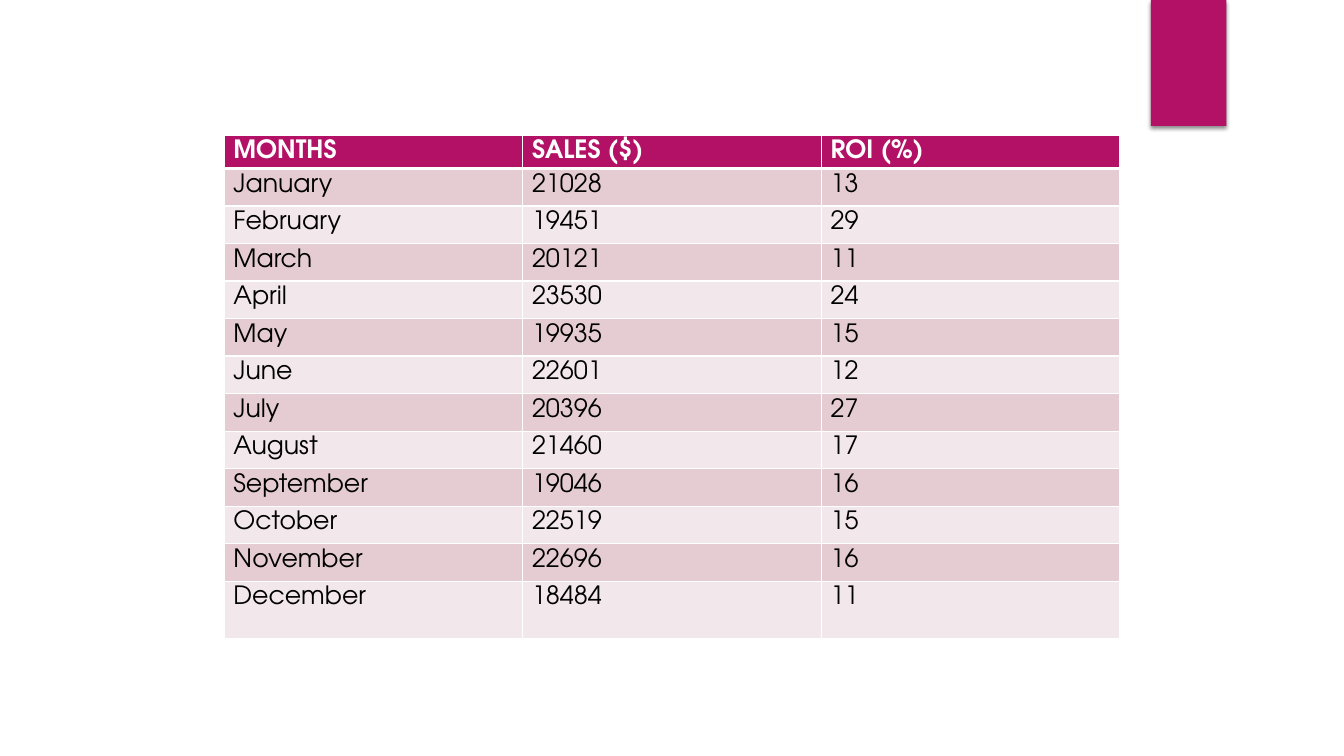
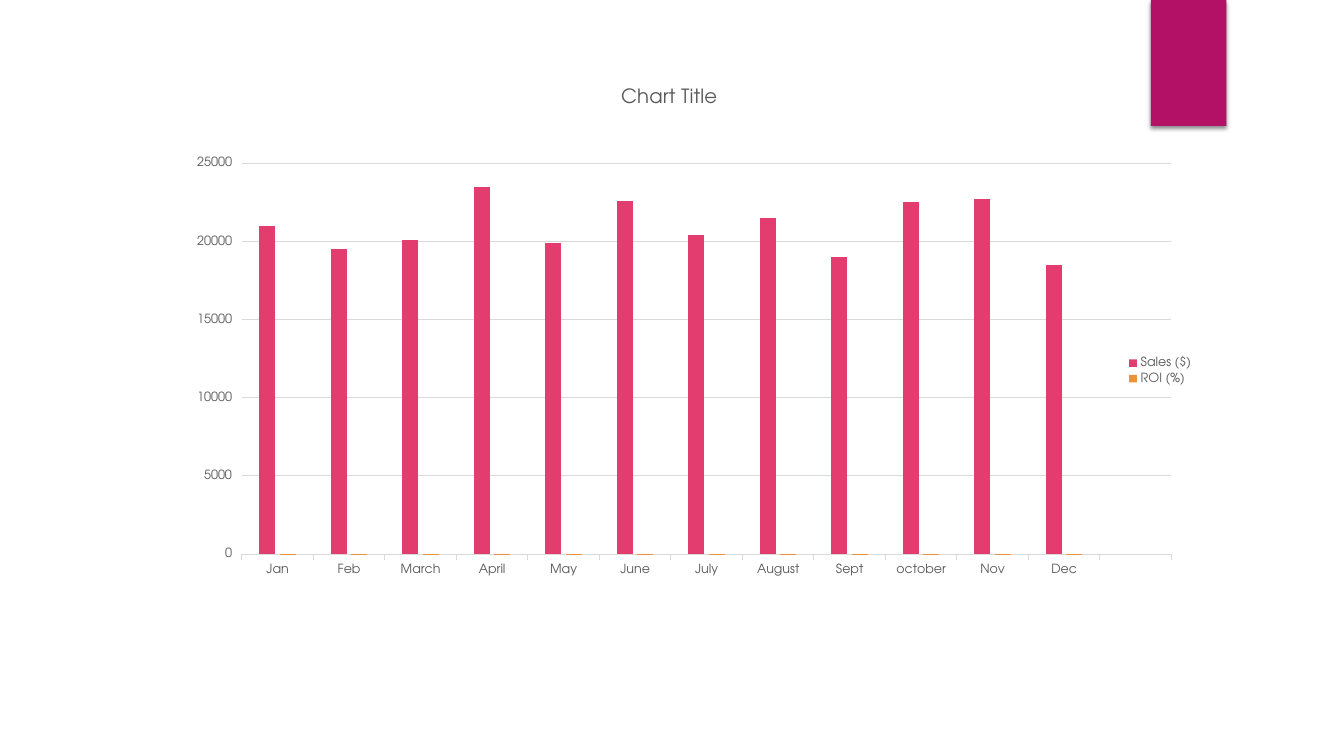
from lxml.etree import SubElement
from pptx import Presentation
from pptx.chart.data import CategoryChartData
from pptx.dml.color import RGBColor
from pptx.enum.chart import XL_CHART_TYPE, XL_LEGEND_POSITION
from pptx.enum.shapes import MSO_SHAPE
from pptx.oxml import parse_xml
from pptx.oxml.ns import nsdecls, qn
from pptx.util import Pt

COLORS = {
    "accent": "B31166",
    "white": "FFFFFF",
    "black": "000000",
    "band_dark": "E5CCD3",
    "band_light": "F2E7EA",
    "label": "595959",
    "grid": "D9D9D9",
    "sales": "E33D6F",
    "roi": "E9943A",
}
FONT = "TeX Gyre Adventor"

MONTHLY_ROWS = [
    ("MONTHS", "SALES ($)", "ROI (%)"),
    ("January", "21028", "13"),
    ("February", "19451", "29"),
    ("March", "20121", "11"),
    ("April", "23530", "24"),
    ("May", "19935", "15"),
    ("June", "22601", "12"),
    ("July", "20396", "27"),
    ("August", "21460", "17"),
    ("September", "19046", "16"),
    ("October", "22519", "15"),
    ("November", "22696", "16"),
    ("December", "18484", "11"),
]
# The chart keeps an empty thirteenth category
CHART_MONTHS = ["Jan", "Feb", "March", "April", "May", "June", "July",
                "August", "Sept", "october", "Nov", "Dec", ""]
CHART_SERIES = [
    ("Sales ($)", [21000, 19500, 20100, 23500, 19900, 22600, 20400,
                   21500, 19000, 22500, 22700, 18500, None], "sales"),
    ("ROI (%)", [int(row[2]) for row in MONTHLY_ROWS[1:]] + [None], "roi"),
]


def rgb(name):
    return RGBColor.from_string(COLORS[name])


class Deck:
    """Holds the shared style and the current slide."""

    def __init__(self):
        self.presentation = Presentation()
        self.presentation.slide_width = Pt(960)
        self.presentation.slide_height = Pt(540)
        self.slide = None

    def add_slide(self):
        blank = self.presentation.slide_layouts[6]
        self.slide = self.presentation.slides.add_slide(blank)
        self.add_ribbon()

    def add_ribbon(self):
        shape = self.slide.shapes.add_shape(
            MSO_SHAPE.RECTANGLE, Pt(822), Pt(0), Pt(54), Pt(90))
        shape.fill.solid()
        shape.fill.fore_color.rgb = rgb("accent")
        shape.line.fill.background()
        # Soft shadow straight below
        shape.shadow.inherit = False
        effects = shape.element.spPr.find(qn("a:effectLst"))
        shadow = SubElement(effects, qn("a:outerShdw"), blurRad=str(Pt(3)),
                            dist=str(Pt(2)), dir="5400000", rotWithShape="0")
        color = SubElement(shadow, qn("a:srgbClr"), val=COLORS["black"])
        SubElement(color, qn("a:alpha"), val="45000")

    def style_font(self, font, size, color, bold=False):
        font.name = FONT
        font.size = Pt(size)
        font.bold = bold
        font.color.rgb = rgb(color)

    def add_borders(self, cell, widths):
        properties = cell._tc.get_or_add_tcPr()
        for side, width in widths.items():
            line = SubElement(properties, qn(f"a:ln{side}"), w=str(Pt(width)))
            fill = SubElement(line, qn("a:solidFill"))
            SubElement(fill, qn("a:srgbClr"), val=COLORS["white"])

    def fill_cell(self, cell, text, fill, color, bold, borders):
        cell.margin_left = cell.margin_right = Pt(6.75)
        cell.margin_top = cell.margin_bottom = Pt(3.6)
        self.add_borders(cell, borders)
        cell.fill.solid()
        cell.fill.fore_color.rgb = rgb(fill)
        cell.text_frame.text = text
        run = cell.text_frame.paragraphs[0].runs[0]
        self.style_font(run.font, 18, color, bold)

    def add_table(self, rows, left, top, width, heights):
        frame = self.slide.shapes.add_table(
            len(rows), len(rows[0]), Pt(left), Pt(top), Pt(width), Pt(sum(heights)))
        table = frame.table
        for column in table.columns:
            column.width = Pt(width / len(rows[0]))
        for index, (values, height) in enumerate(zip(rows, heights)):
            table.rows[index].height = Pt(height)
            header = index == 0
            band = "band_dark" if index % 2 else "band_light"
            borders = {"L": 1, "R": 1,
                       "T": 3 if index == 1 else 1,
                       "B": 3 if header else 1}
            for cell, text in zip(table.rows[index].cells, values):
                self.fill_cell(cell, text, "accent" if header else band,
                               "white" if header else "black", header, borders)

    def add_column_chart(self, title, categories, series, left, top, width, height):
        data = CategoryChartData()
        data.categories = categories
        for name, values, _ in series:
            data.add_series(name, values)
        chart = self.slide.shapes.add_chart(
            XL_CHART_TYPE.COLUMN_CLUSTERED,
            Pt(left), Pt(top), Pt(width), Pt(height), data).chart
        self.style_font(chart.font, 10, "black")

        # Title and legend
        chart.has_title = True
        chart.chart_title.text_frame.text = title
        run = chart.chart_title.text_frame.paragraphs[0].runs[0]
        self.style_font(run.font, 14, "label")
        chart.has_legend = True
        chart.legend.position = XL_LEGEND_POSITION.RIGHT
        chart.legend.include_in_layout = False
        self.style_font(chart.legend.font, 9, "label")

        # Columns
        plot = chart.plots[0]
        plot.gap_width = 219
        plot.overlap = -27
        plot.vary_by_categories = False
        for columns, (_, _, color) in zip(plot.series, series):
            columns.format.fill.solid()
            columns.format.fill.fore_color.rgb = rgb(color)

        # Axes
        for axis in (chart.category_axis, chart.value_axis):
            self.style_font(axis.tick_labels.font, 9, "label")
        value_axis = chart.value_axis
        value_axis.minimum_scale = 0
        value_axis.maximum_scale = 25000
        value_axis.major_unit = 5000
        value_axis.has_major_gridlines = True
        value_axis.format.line.fill.background()
        for line in (chart.category_axis.format.line,
                     value_axis.major_gridlines.format.line):
            line.color.rgb = rgb("grid")
            line.width = Pt(0.75)
        self.place_plot(chart, x=0.1, y=0.16, w=0.87, h=0.64)

    def place_plot(self, chart, **fractions):
        area = chart.element.xpath("c:chart/c:plotArea")[0]
        for layout in area.findall(qn("c:layout")):
            area.remove(layout)
        values = "".join(f'<c:{key} val="{value}"/>'
                         for key, value in fractions.items())
        area.insert(0, parse_xml(
            f'<c:layout {nsdecls("c")}><c:manualLayout>'
            '<c:layoutTarget val="inner"/>'
            '<c:xMode val="edge"/><c:yMode val="edge"/>'
            f'{values}</c:manualLayout></c:layout>'))


def main():
    deck = Deck()

    # Monthly figures
    deck.add_slide()
    heights = [23.5] + [26.8] * 11 + [41]
    deck.add_table(MONTHLY_ROWS, 160, 96.5, 640, heights)

    # Monthly chart
    deck.add_slide()
    deck.add_column_chart("Chart Title", CHART_MONTHS, CHART_SERIES,
                          96.5, 46.8, 763.2, 436.3)

    deck.presentation.save("out.pptx")


if __name__ == "__main__":
    main()
